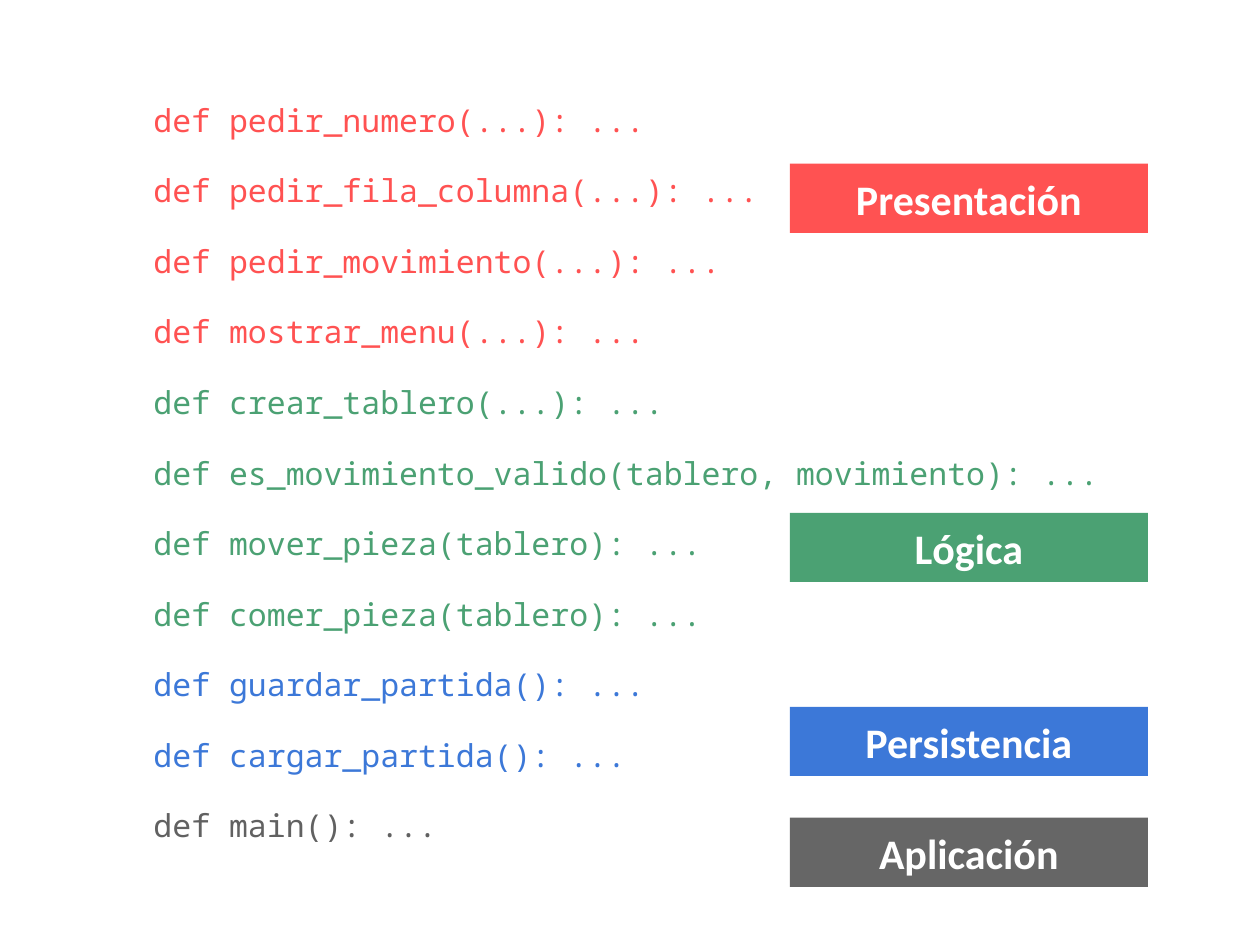
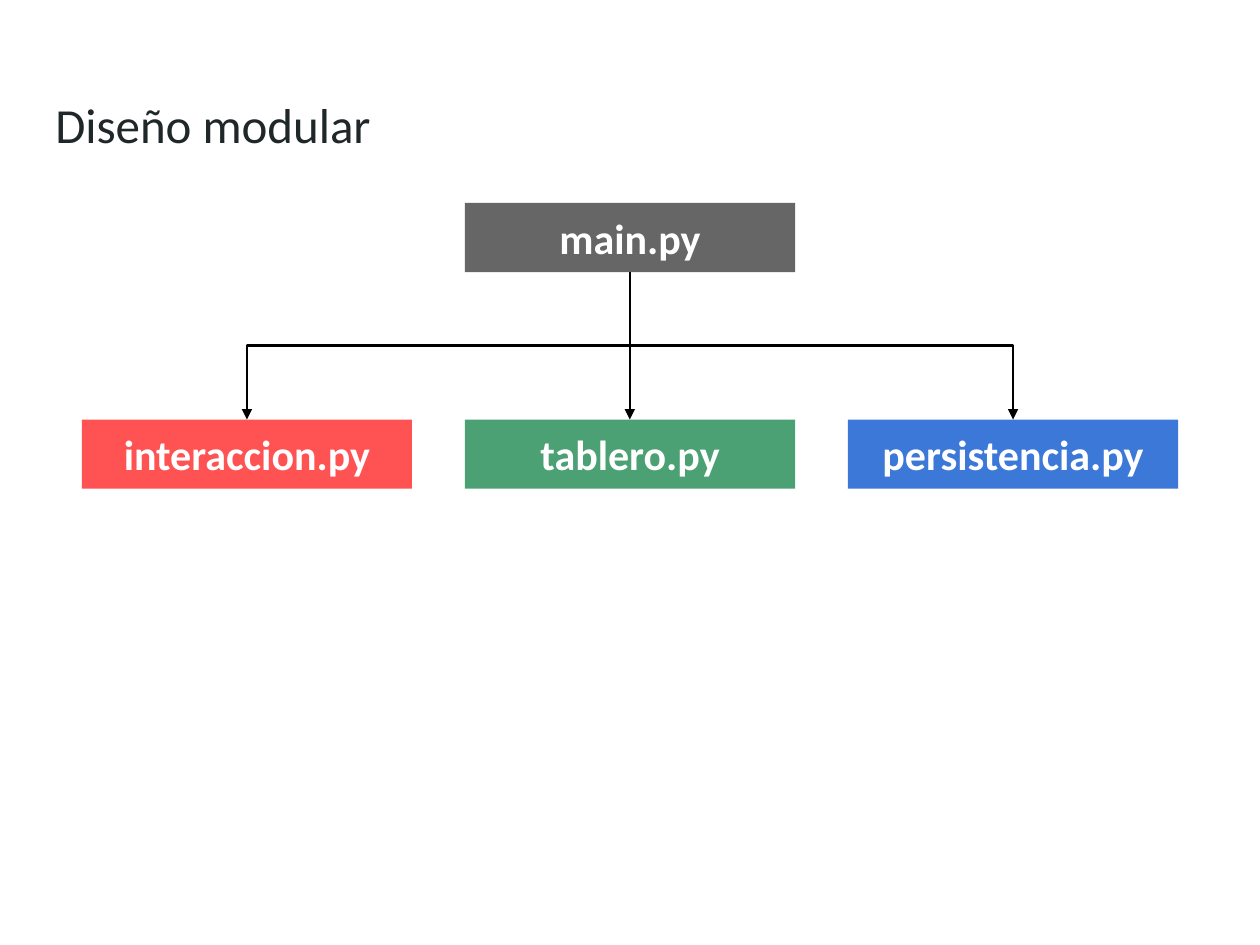
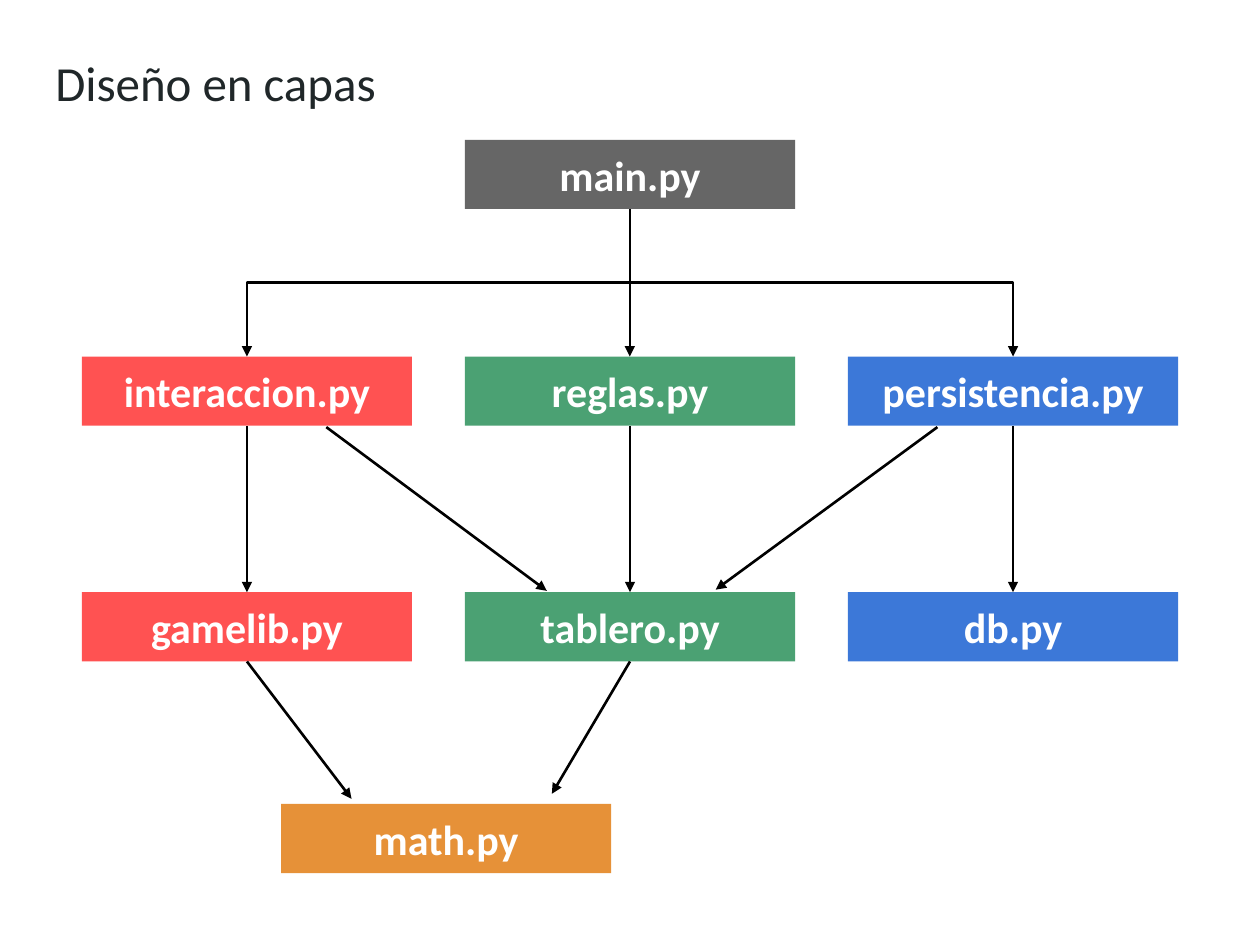
from pptx import Presentation
from pptx.dml.color import RGBColor
from pptx.enum.shapes import MSO_CONNECTOR, MSO_SHAPE
from pptx.enum.text import MSO_ANCHOR, PP_ALIGN
from pptx.oxml.ns import qn
from pptx.util import Inches, Pt
from lxml.etree import SubElement

RED = RGBColor(0xFF, 0x52, 0x52)
GREEN = RGBColor(0x4B, 0xA1, 0x73)
BLUE = RGBColor(0x3C, 0x78, 0xD8)
GRAY = RGBColor(0x66, 0x66, 0x66)
CODE_GRAY = RGBColor(0x61, 0x61, 0x61)
ORANGE = RGBColor(0xE6, 0x91, 0x38)
INK = RGBColor(0x20, 0x27, 0x29)
BLACK = RGBColor(0, 0, 0)
WHITE = RGBColor(0xFF, 0xFF, 0xFF)

TEXT_FONT = "Calibri"
CODE_FONT = "Noto Sans Mono"
SLIDE_WIDTH = Inches(10)
SLIDE_HEIGHT = Inches(7.5)
INSET = Inches(0.1)

FIRST_COLUMN = 6.5
COLUMN_STEP = 30.4
MODULE_WIDTH = 26.2
BAR_HEIGHT = 7.33
FAN_DROP = 22.93

CODE_GROUPS = [
    (RED, ["def pedir_numero(...): ...", "def pedir_fila_columna(...): ...",
           "def pedir_movimiento(...): ...", "def mostrar_menu(...): ..."]),
    (GREEN, ["def crear_tablero(...): ...",
             "def es_movimiento_valido(tablero, movimiento): ...",
             "def mover_pieza(tablero): ...", "def comer_pieza(tablero): ..."]),
    (BLUE, ["def guardar_partida(): ...", "def cargar_partida(): ..."]),
    (CODE_GRAY, ["def main(): ..."]),
]
LAYERS = [("Presentación", 17.33, RED), ("Lógica", 54.27, GREEN),
          ("Persistencia", 74.8, BLUE), ("Aplicación", 86.53, GRAY)]


def across(percent):
    return round(SLIDE_WIDTH * percent / 100)


def down(percent):
    return round(SLIDE_HEIGHT * percent / 100)


def area(left, top, width, height):
    return across(left), down(top), across(width), down(height)


def prepare_frame(frame, anchor):
    frame.word_wrap = True
    frame.vertical_anchor = anchor
    frame.margin_left = frame.margin_right = INSET
    frame.margin_top = frame.margin_bottom = INSET


def style_text(para, font, size, color, bold=False):
    for span in para.runs:
        span.font.name = font
        span.font.size = Pt(size)
        span.font.color.rgb = color
        span.font.bold = bold


def add_bar(page, text, left, top, width, color):
    bar = page.shapes.add_shape(MSO_SHAPE.RECTANGLE, *area(left, top, width, BAR_HEIGHT))
    bar.shadow.inherit = False
    bar.fill.solid()
    bar.fill.fore_color.rgb = color
    bar.line.fill.background()
    frame = bar.text_frame
    prepare_frame(frame, MSO_ANCHOR.MIDDLE)
    frame.text = text
    para = frame.paragraphs[0]
    para.alignment = PP_ALIGN.CENTER
    style_text(para, TEXT_FONT, 24, WHITE, bold=True)
    return bar


def add_module(page, text, column, top, color):
    left = FIRST_COLUMN + COLUMN_STEP * column
    return add_bar(page, text, left, top, MODULE_WIDTH, color)


def add_title(page, text, top):
    box = page.shapes.add_textbox(*area(3.4, top, 93.2, 11.07))
    prepare_frame(box.text_frame, MSO_ANCHOR.TOP)
    box.text_frame.text = text
    style_text(box.text_frame.paragraphs[0], TEXT_FONT, 28, INK)


def add_code(page):
    box = page.shapes.add_textbox(*area(11.2, 3.6, 77.6, 92.8))
    frame = box.text_frame
    prepare_frame(frame, MSO_ANCHOR.MIDDLE)
    lines = [(line, color) for color, group in CODE_GROUPS for line in group]
    frame.text = "\n".join(line for line, color in lines)
    for index, (para, (line, color)) in enumerate(zip(frame.paragraphs, lines)):
        para.space_before = Pt(18.7 if index else 0)
        style_text(para, CODE_FONT, 18, color)


def add_arrow(page, kind, start, end):
    arrow = page.shapes.add_connector(kind, *start, *end)
    arrow.line.color.rgb = BLACK
    arrow.line.width = Pt(1.5)
    SubElement(arrow.line._get_or_add_ln(), qn("a:tailEnd"), type="triangle")
    SubElement(arrow._element.spPr, qn("a:effectLst"))
    return arrow


def top_center(bar):
    return bar.left + bar.width // 2, bar.top


def bottom_center(bar):
    return bar.left + bar.width // 2, bar.top + bar.height


def add_straight_arrow(page, start, end):
    add_arrow(page, MSO_CONNECTOR.STRAIGHT, start, end)


def add_bent_arrow(page, upper, lower):
    start_x, start_y = bottom_center(upper)
    end_x, end_y = top_center(lower)
    middle_x, middle_y = (start_x + end_x) // 2, (start_y + end_y) // 2
    half_drop, half_span = (end_y - start_y) // 2, abs(end_x - start_x) // 2
    leftward = end_x < start_x
    reach = half_drop if leftward else -half_drop
    arrow = add_arrow(page, MSO_CONNECTOR.ELBOW,
                      (middle_x - reach, middle_y - half_span),
                      (middle_x + reach, middle_y + half_span))
    turn = 90 if leftward else 270
    arrow._element.spPr.find(qn("a:xfrm")).set("rot", str(turn * 60000))


def add_module_row(page, names, top):
    return [add_module(page, name, column, top, color)
            for column, (name, color) in enumerate(zip(names, (RED, GREEN, BLUE)))]


def add_fan(page, top, names):
    main_module = add_module(page, "main.py", 1, top, GRAY)
    modules = add_module_row(page, names, top + FAN_DROP)
    for module in modules:
        add_bent_arrow(page, main_module, module)
    return modules


def build_functions(page):
    add_code(page)
    for text, top, color in LAYERS:
        add_bar(page, text, 62.7, top, 28.4, color)


def build_modular(page):
    add_title(page, "Diseño modular", 8.67)
    add_fan(page, 21.47, ["interaccion.py", "tablero.py", "persistencia.py"])


def build_layers(page):
    add_title(page, "Diseño en capas", 4.27)
    callers = add_fan(page, 14.8, ["interaccion.py", "reglas.py", "persistencia.py"])
    helpers = add_module_row(page, ["gamelib.py", "tablero.py", "db.py"], 62.67)
    for caller, helper in zip(callers, helpers):
        add_straight_arrow(page, bottom_center(caller), top_center(helper))
    add_module(page, "math.py", 0.52, 85.07, ORANGE)
    diagonals = [((25.9, 45.2), (43.4, 62.53)), ((74.4, 45.2), (56.8, 62.4))]
    for start, end in diagonals:
        add_straight_arrow(page, (across(start[0]), down(start[1])),
                           (across(end[0]), down(end[1])))
    for helper, (x, y) in zip(helpers, [(27.9, 84.53), (43.8, 84)]):
        add_straight_arrow(page, bottom_center(helper), (across(x), down(y)))


def main():
    deck = Presentation()
    deck.slide_width = SLIDE_WIDTH
    deck.slide_height = SLIDE_HEIGHT
    for build in (build_functions, build_modular, build_layers):
        build(deck.slides.add_slide(deck.slide_layouts[6]))
    deck.save("out.pptx")


if __name__ == "__main__":
    main()
